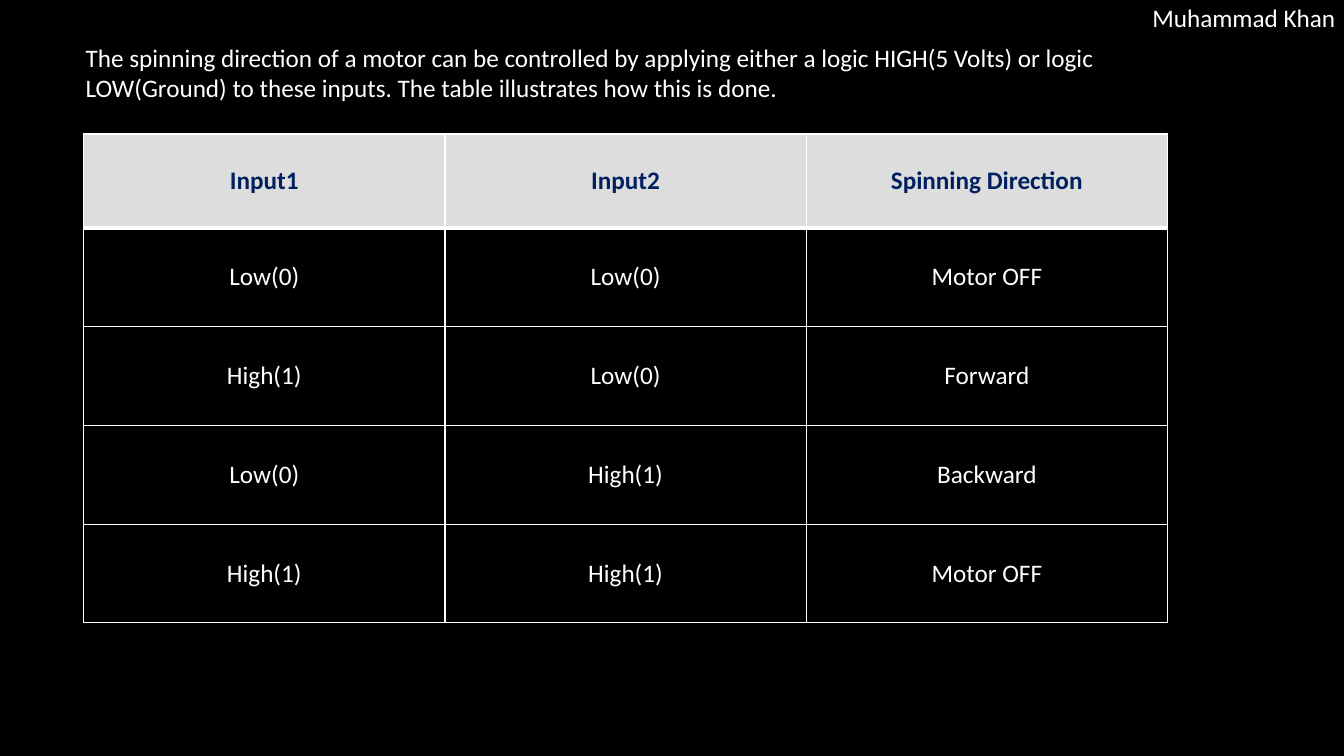
from dataclasses import dataclass

from lxml.etree import SubElement
from pptx import Presentation
from pptx.dml.color import RGBColor
from pptx.enum.text import MSO_ANCHOR, MSO_AUTO_SIZE, PP_ALIGN
from pptx.oxml.ns import qn
from pptx.util import Inches, Pt

INTRO = (
    "The spinning direction of a motor can be controlled by applying either a logic "
    "HIGH(5 Volts) or logic LOW(Ground) to these inputs. The table illustrates how this is done."
)
AUTHOR = "Muhammad Khan"
MOTOR_STATES = [
    ("Input1", "Input2", "Spinning Direction"),
    ("Low(0)", "Low(0)", "Motor OFF"),
    ("High(1)", "Low(0)", "Forward"),
    ("Low(0)", "High(1)", "Backward"),
    ("High(1)", "High(1)", "Motor OFF"),
]


@dataclass(frozen=True)
class Theme:
    font: str = "Calibri"
    size: int = 18
    background: str = "000000"
    text: str = "FFFFFF"
    header_text: str = "002060"
    header_fill: str = "DDDDDD"
    border: str = "FFFFFF"
    border_width: int = 1
    header_rule: int = 3


THEME = Theme()


def style_text(text_frame, color, bold=False):
    for span in text_frame.paragraphs[0].runs:
        span.font.name = THEME.font
        span.font.size = Pt(THEME.size)
        span.font.bold = bold
        span.font.color.rgb = RGBColor.from_string(color)


def add_text(page, text, left, top, width, height, wrap):
    box = page.shapes.add_textbox(Inches(left), Inches(top), Inches(width), Inches(height))
    box.text_frame.text = text
    box.text_frame.word_wrap = wrap
    box.text_frame.auto_size = MSO_AUTO_SIZE.SHAPE_TO_FIT_TEXT
    style_text(box.text_frame, THEME.text)


def add_border(cell, side, width):
    line = SubElement(cell._tc.get_or_add_tcPr(), qn(f"a:{side}"), w=str(Pt(width)))
    fill = SubElement(line, qn("a:solidFill"))
    SubElement(fill, qn("a:srgbClr"), val=THEME.border)


def style_cell(cell, row):
    header = row == 0
    top = THEME.header_rule if row == 1 else THEME.border_width
    bottom = THEME.header_rule if header else THEME.border_width
    widths = {"lnL": THEME.border_width, "lnR": THEME.border_width, "lnT": top, "lnB": bottom}
    for side, width in widths.items():
        add_border(cell, side, width)
    cell.fill.solid()
    cell.fill.fore_color.rgb = RGBColor.from_string(
        THEME.header_fill if header else THEME.background
    )
    cell.vertical_anchor = MSO_ANCHOR.MIDDLE
    cell.margin_left = cell.margin_right = Inches(0.05)
    cell.margin_top = cell.margin_bottom = Inches(0.05)
    cell.text_frame.paragraphs[0].alignment = PP_ALIGN.CENTER
    style_text(cell.text_frame, THEME.header_text if header else THEME.text, header)


def add_motor_table(page, left, top, width, header_height, row_height):
    row_count, column_count = len(MOTOR_STATES), len(MOTOR_STATES[0])
    height = header_height + row_height * (row_count - 1)
    table = page.shapes.add_table(
        row_count, column_count, Inches(left), Inches(top), Inches(width), Inches(height)
    ).table
    for column in table.columns:
        column.width = Inches(width / column_count)
    for row, values in enumerate(MOTOR_STATES):
        table.rows[row].height = Inches(row_height if row else header_height)
        for column, value in enumerate(values):
            cell = table.cell(row, column)
            cell.text_frame.text = value
            style_cell(cell, row)


def main():
    deck = Presentation()
    deck.slide_width, deck.slide_height = Inches(13.33), Inches(7.5)
    page = deck.slides.add_slide(deck.slide_layouts[6])
    page.background.fill.solid()
    page.background.fill.fore_color.rgb = RGBColor.from_string(THEME.background)
    add_text(page, INTRO, 0.75, 0.37, 11.08, 0.71, True)
    add_motor_table(page, 0.83, 1.33, 10.75, 0.93, 0.98)
    add_text(page, AUTHOR, 11.33, -0.03, 2.09, 0.4, False)
    deck.save("out.pptx")


if __name__ == "__main__":
    main()
